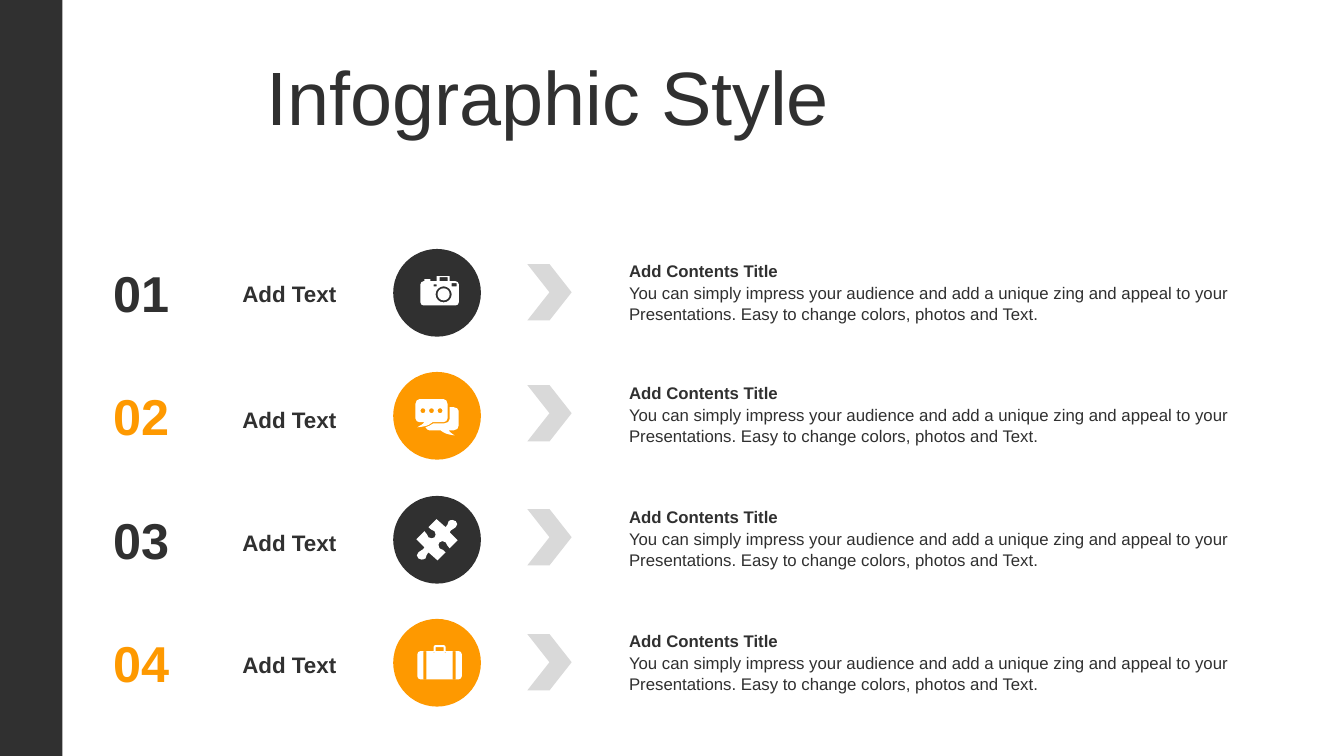
"""Build the Infographic Style slide: four numbered rows with icons and text."""
from lxml import etree
from pptx import Presentation
from pptx.dml.color import RGBColor
from pptx.enum.shapes import MSO_SHAPE
from pptx.enum.text import MSO_ANCHOR, MSO_AUTO_SIZE, PP_ALIGN
from pptx.oxml.ns import qn
from pptx.util import Pt

PX = 9144
FINE = 100
CURVE = 0.45
DARK = RGBColor(0x30, 0x30, 0x30)
ORANGE = RGBColor(0xFE, 0x99, 0x00)
GREY = RGBColor(0xD9, 0xD9, 0xD9)
WHITE = RGBColor(0xFF, 0xFF, 0xFF)
FONT = "Arial"
LEFT, CENTER = PP_ALIGN.LEFT, PP_ALIGN.CENTER
MIDDLE = MSO_ANCHOR.MIDDLE
NO_FIT, GROW = MSO_AUTO_SIZE.NONE, MSO_AUTO_SIZE.SHAPE_TO_FIT_TEXT
RECTANGLE, OVAL, CHEVRON = MSO_SHAPE.RECTANGLE, MSO_SHAPE.OVAL, MSO_SHAPE.CHEVRON

TITLE = "Infographic Style"
LABEL = "Add Text"
HEADING = "Add Contents Title"
BODY = ("You can simply impress your audience and add a unique zing and appeal "
        "to your Presentations. Easy to change colors, photos and Text.")

FIRST_CIRCLE_TOP, ROW_PITCH = 247, 122.4
LABEL_TOPS = (273, 398, 520, 641)
CHEVRON_TOPS = (262, 382, 505, 629)
HEADING_TOPS = (254, 375, 498, 621)

PUZZLE_SUMS = (867, 1071)
PUZZLE_HALF = [
    (452, 517), (454, 519, 454, 521, 452, 523), (450, 526, 448, 524, 446, 528),
    (454, 536), (446, 544), (443, 542, 444, 540, 442, 538),
    (440, 536, 437, 537, 436, 538), (435, 539, 434, 542, 436, 544),
    (439, 546, 440, 545, 442, 548), (434, 556), (425, 548),
    (422, 550, 424, 551, 422, 554), (419, 556, 417, 555, 415, 554),
]
FRONT_BUBBLE = [
    (416, 396), (440, 396), (442, 396, 444, 398, 444, 401), (444, 415),
    (444, 417, 442, 419, 440, 419), (429, 419), (424, 423, 422, 423, 414, 424),
    (418, 421, 419, 422, 421, 419), (416, 419), (414, 419, 412, 417, 412, 415),
    (412, 401), (412, 398, 414, 396, 416, 396),
]
BACK_BUBBLE = [
    (446, 404), (450, 404), (453, 404, 455, 406, 455, 408), (455, 422),
    (455, 425, 453, 427, 450, 427), (445, 427), (446, 428, 446, 429, 451, 432),
    (443, 431, 441, 430, 437, 427), (426, 427), (425, 427, 423, 426, 422, 424),
    (425, 423, 427, 422, 430, 420), (441, 420), (444, 420, 446, 418, 446, 416),
]


def block(left, top, right, bottom):
    """Return the outline of a rectangle."""
    return [(left, top), (right, top), (right, bottom), (left, bottom)]


def rounded(left, top, right, bottom, radius):
    """Return the outline of a rectangle with rounded corners."""
    corners = ((right, top, -1, 0, 0, 1), (right, bottom, 0, -1, -1, 0),
               (left, bottom, 1, 0, 0, -1), (left, top, 0, 1, 1, 0))
    outline = [(left + radius, top)]
    for x, y, from_x, from_y, to_x, to_y in corners:
        start = (x + from_x * radius, y + from_y * radius)
        if outline[-1][-2:] != start:
            outline.append(start)
        near = CURVE * radius
        outline.append((x + from_x * near, y + from_y * near, x + to_x * near, y + to_y * near,
                        x + to_x * radius, y + to_y * radius))
    return outline


def disc(x, y, radius):
    """Return the outline of a circle."""
    return rounded(x - radius, y - radius, x + radius, y + radius, radius)


def camera():
    """Return the outlines of the camera icon."""
    return [rounded(417, 279, 455, 303, 3), block(421, 277, 427, 279),
            block(433, 274, 446, 279), block(436, 275, 444, 279),
            block(430, 282, 433, 284), block(448, 281, 453, 284),
            disc(440, 292, 8), disc(440, 292, 6)]


def chat():
    """Return the outlines of the speech bubbles icon."""
    dots = [disc(x, 407.5, 2.5) for x in (419.5, 428, 436.5)]
    return [BACK_BUBBLE, FRONT_BUBBLE] + dots


def puzzle():
    """Return the outline of the puzzle icon, symmetric about its centre."""
    turned = [tuple(PUZZLE_SUMS[place % 2] - value for place, value in enumerate(part))
              for part in PUZZLE_HALF[1:]]
    return [PUZZLE_HALF + turned]


def suitcase():
    """Return the outlines of the suitcase icon."""
    return [rounded(414, 646, 458, 674, 3), block(420, 646, 423, 674),
            block(449, 646, 452, 674), rounded(430, 640, 442, 648, 2),
            block(432, 642, 440, 646), block(430, 646, 442, 648)]


def paint(shape, color):
    """Give a shape a flat fill without line or shadow."""
    shape.shadow.inherit = False
    shape.fill.solid()
    shape.fill.fore_color.rgb = color
    shape.line.fill.background()


def add_figure(page, kind, left, top, width, height, color):
    """Add a flat preset shape."""
    shape = page.shapes.add_shape(kind, left * PX, top * PX, width * PX, height * PX)
    paint(shape, color)


def add_icon(page, outlines):
    """Add one white freeform whose outlines keep true curves."""
    ends = [part[-2:] for outline in outlines for part in outline]
    left, top = (min(axis) for axis in zip(*ends))
    right, bottom = (max(axis) for axis in zip(*ends))
    frame = [(x * FINE, y * FINE) for x, y in block(left, top, right, bottom)]
    builder = page.shapes.build_freeform(*frame[0], scale=PX / FINE)
    builder.add_line_segments(frame[1:], close=True)
    shape = builder.convert_to_shape()
    path = next(shape.element.iter(qn("a:path")))
    for child in list(path):
        path.remove(child)
    for outline in outlines:
        for index, part in enumerate(outline):
            kind = "a:cubicBezTo" if len(part) == 6 else "a:lnTo" if index else "a:moveTo"
            step = etree.SubElement(path, qn(kind))
            for x, y in zip(part[::2], part[1::2]):
                etree.SubElement(step, qn("a:pt"), x=str(round((x - left) * FINE)),
                                 y=str(round((y - top) * FINE)))
        etree.SubElement(path, qn("a:close"))
    paint(shape, WHITE)


def write(para, words, size, color, bold=False, align=LEFT):
    """Write one formatted run into a paragraph."""
    para.alignment = align
    span = para.add_run()
    span.text = words
    span.font.name = FONT
    span.font.size = Pt(size)
    span.font.bold = bold
    span.font.color.rgb = color


def add_text(page, words, left, top, width, height, size, color=DARK, bold=True, align=LEFT):
    """Add a wrapping text box with one paragraph."""
    box = page.shapes.add_textbox(left * PX, top * PX, width * PX, height * PX)
    frame = box.text_frame
    frame.word_wrap = True
    frame.auto_size = GROW
    write(frame.paragraphs[0], words, size, color, bold, align)


def set_title(page):
    """Place and format the slide title."""
    title = page.shapes.title
    title.left, title.top, title.width, title.height = 254 * PX, 61 * PX, 1047 * PX, 79 * PX
    frame = title.text_frame
    frame.auto_size = NO_FIT
    frame.vertical_anchor = MIDDLE
    para = frame.paragraphs[0]
    para.line_spacing = 0.9
    write(para, TITLE, 54, DARK)


def add_row(page, index, icon):
    """Add one numbered row."""
    color = ORANGE if index % 2 else DARK
    circle_top = round(FIRST_CIRCLE_TOP + index * ROW_PITCH)
    heading_top = HEADING_TOPS[index]
    add_figure(page, OVAL, 390, circle_top, 87, 87, color)
    add_text(page, f"{index + 1:02}", 96, circle_top + 8, 88, 71, 36, color, align=CENTER)
    add_text(page, LABEL, 209, LABEL_TOPS[index], 156, 37, 16, align=CENTER)
    add_figure(page, CHEVRON, 523, CHEVRON_TOPS[index], 44, 56, GREY)
    add_text(page, BODY, 614, heading_top + 22, 625, 50, 12, bold=False)
    add_text(page, HEADING, 614, heading_top, 625, 30, 12)
    add_icon(page, icon)


def main():
    """Build and save the deck."""
    deck = Presentation()
    deck.slide_width, deck.slide_height = 1333 * PX, 750 * PX
    page = deck.slides.add_slide(deck.slide_layouts[5])
    add_figure(page, RECTANGLE, 0, 0, 62, 750, DARK)
    set_title(page)
    for index, icon in enumerate((camera(), chat(), puzzle(), suitcase())):
        add_row(page, index, icon)
    deck.save("out.pptx")


if __name__ == "__main__":
    main()
